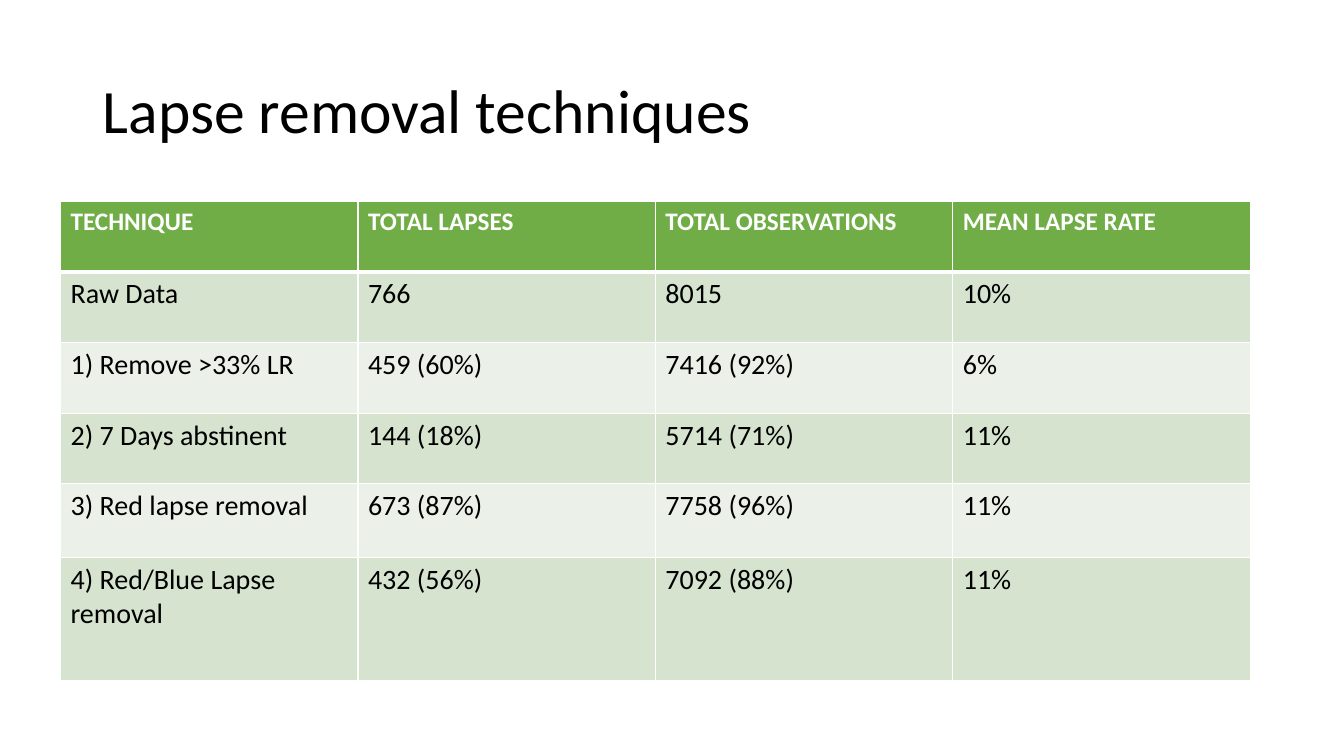
"""Build a slide with a table that compares lapse removal techniques."""
from lxml import etree
from pptx import Presentation
from pptx.dml.color import RGBColor
from pptx.enum.text import MSO_ANCHOR
from pptx.oxml.ns import qn
from pptx.util import Inches, Pt

MIDDLE = MSO_ANCHOR.MIDDLE
FONT = "Calibri"
BLACK = "000000"
WHITE = "FFFFFF"
HEADER_GREEN = "70AD47"
BAND_GREENS = ("D5E3CF", "EBF1E9")

TITLE_FORMAT = {"name": FONT, "size": Pt(44), "bold": False}
HEADER_FORMAT = {"name": FONT, "size": Pt(18), "bold": True}
BODY_FORMAT = {"name": FONT, "size": Pt(20), "bold": False}

COLUMN_WIDTH = 2.95
ROW_HEIGHTS = (0.7, 0.7, 0.7, 0.7, 0.73, 1.22)
TECHNIQUE_ROWS = (
    ("TECHNIQUE", "TOTAL LAPSES", "TOTAL OBSERVATIONS", "MEAN LAPSE RATE"),
    ("Raw Data", "766", "8015", "10%"),
    ("1) Remove >33% LR", "459 (60%)", "7416 (92%)", "6%"),
    ("2) 7 Days abstinent", "144 (18%)", "5714 (71%)", "11%"),
    ("3) Red lapse removal", "673 (87%)", "7758 (96%)", "11%"),
    ("4) Red/Blue Lapse removal", "432 (56%)", "7092 (88%)", "11%"),
)


def color(hex_value):
    """Return the colour for a hex string."""
    return RGBColor.from_string(hex_value)


def write_text(paragraph, text, font_format, hex_value):
    """Add one formatted run to a paragraph."""
    run = paragraph.add_run()
    run.text = text
    for name, value in font_format.items():
        setattr(run.font, name, value)
    run.font.color.rgb = color(hex_value)


def add_title(slide, text):
    """Add the title as a wrapped, vertically centred text box."""
    shape = slide.shapes.add_textbox(Inches(0.92), Inches(0.4), Inches(11.5), Inches(1.45))
    shape.text_frame.word_wrap = True
    shape.text_frame.vertical_anchor = MIDDLE
    paragraph = shape.text_frame.paragraphs[0]
    paragraph.line_spacing = 0.9
    write_text(paragraph, text, TITLE_FORMAT, BLACK)


def set_borders(cell, widths):
    """Give a cell white borders of the given widths in points."""
    properties = cell._tc.get_or_add_tcPr()
    for side, width in widths.items():
        line = etree.SubElement(properties, qn(f"a:ln{side}"), w=str(Pt(width)))
        fill = etree.SubElement(line, qn("a:solidFill"))
        etree.SubElement(fill, qn("a:srgbClr"), val=WHITE)


def format_cell(cell, text, row_index):
    """Fill in a cell in the style of its row."""
    is_header = row_index == 0
    top = 3 if row_index == 1 else 1
    bottom = 3 if is_header else 1
    set_borders(cell, {"L": 1, "R": 1, "T": top, "B": bottom})
    cell.fill.solid()
    cell.fill.fore_color.rgb = color(HEADER_GREEN if is_header else BAND_GREENS[(row_index - 1) % 2])
    font_format = HEADER_FORMAT if is_header else BODY_FORMAT
    write_text(cell.text_frame.paragraphs[0], text, font_format, WHITE if is_header else BLACK)


def add_technique_table(slide, rows):
    """Add the table of techniques with equal columns."""
    column_count = len(rows[0])
    table = slide.shapes.add_table(
        len(rows), column_count, Inches(0.6), Inches(2),
        Inches(COLUMN_WIDTH * column_count), Inches(sum(ROW_HEIGHTS)),
    ).table
    for column in table.columns:
        column.width = Inches(COLUMN_WIDTH)
    for row_index, (texts, height) in enumerate(zip(rows, ROW_HEIGHTS)):
        table.rows[row_index].height = Inches(height)
        for column_index, text in enumerate(texts):
            format_cell(table.cell(row_index, column_index), text, row_index)


def main():
    """Build and save the presentation."""
    presentation = Presentation()
    presentation.slide_width = Inches(13.33)
    presentation.slide_height = Inches(7.5)
    slide = presentation.slides.add_slide(presentation.slide_layouts[6])
    add_title(slide, "Lapse removal techniques")
    add_technique_table(slide, TECHNIQUE_ROWS)
    presentation.save("out.pptx")


if __name__ == "__main__":
    main()
